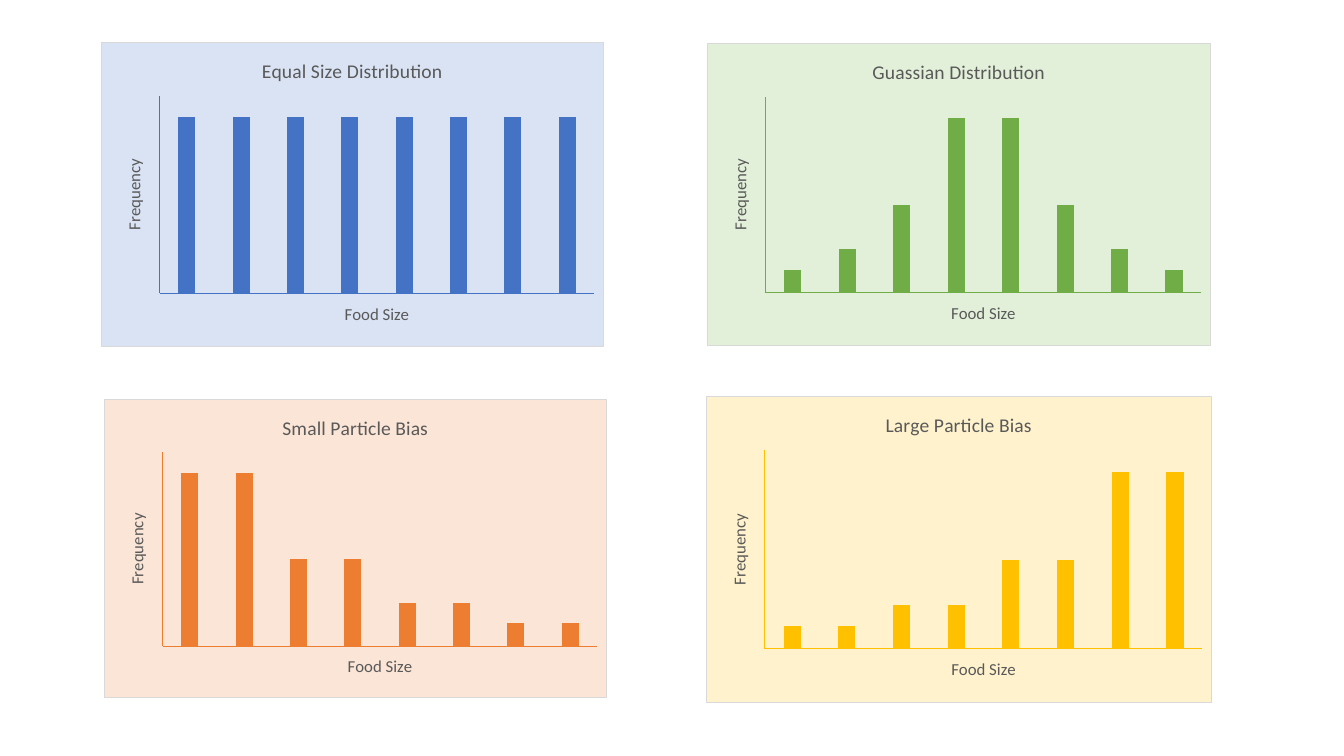
from lxml import etree
from pptx import Presentation
from pptx import util as u
from pptx.chart import data as chart_data
from pptx.dml import color
from pptx.enum import chart as kinds
from pptx.oxml import parse_xml

NS = "http://schemas.openxmlformats.org/drawingml/2006"
PLOT_AREA = {"x": 0.116, "y": 0.176, "w": 0.866, "h": 0.65}


def rgb(value):
    return color.RGBColor.from_string(value)


def write_title(owner, text, size):
    frame = owner.text_frame
    frame.text = text
    font = frame.paragraphs[0].runs[0].font
    font.name, font.size, font.bold = "Calibri", u.Pt(size), False
    font.color.rgb = rgb("595959")


deck = Presentation()
deck.slide_width, deck.slide_height = u.Inches(13.33), u.Inches(7.5)
page = deck.slides.add_slide(deck.slide_layouts[6])

panels = [
    ("Guassian Distribution", (7.01, 0.43, 5, 3), "70AD47", "E2F0D9",
     (13, 25, 50, 100, 100, 50, 25, 13)),
    ("Large Particle Bias", (7, 3.93, 5.02, 3.04), "FFC000", "FFF2CC",
     (13, 13, 25, 25, 50, 50, 100, 100)),
    ("Small Particle Bias", (1.03, 3.96, 4.99, 2.97), "ED7D31", "FBE5D6",
     (100, 100, 50, 50, 25, 25, 13, 13)),
    ("Equal Size Distribution", (1, 0.42, 4.99, 3.02), "4472C4", "DAE3F3",
     (100,) * 8),
]

for heading, place, accent, tint, frequencies in panels:
    table = chart_data.CategoryChartData()
    table.categories = [str(number) for number in range(1, 9)]
    table.add_series("Series 1", frequencies)
    chart = page.shapes.add_chart(
        kinds.XL_CHART_TYPE.COLUMN_CLUSTERED,
        *[u.Inches(length) for length in place], table).chart
    chart.has_legend = False
    chart.font.name, chart.font.size = "Calibri", u.Pt(10)
    chart.has_title = True
    write_title(chart.chart_title, heading, 14)

    bars = chart.plots[0]
    bars.gap_width, bars.overlap, bars.vary_by_categories = 219, -27, False
    fill = bars.series[0].format.fill
    fill.solid()
    fill.fore_color.rgb = rgb(accent)

    for axis, label in ((chart.category_axis, "Food Size"), (chart.value_axis, "Frequency")):
        axis.has_title = True
        write_title(axis.axis_title, label, 12)
        axis.has_major_gridlines = False
        axis.major_tick_mark = axis.minor_tick_mark = kinds.XL_TICK_MARK.NONE
        axis.tick_label_position = kinds.XL_TICK_LABEL_POSITION.NONE
        axis.format.line.color.rgb = rgb(accent)
        axis.format.line.width = u.Pt(0.75)
    chart.value_axis.minimum_scale, chart.value_axis.maximum_scale = 0, 112

    space = chart.element if hasattr(chart, "element") else chart._chartSpace
    turned = space.xpath(".//c:valAx/c:title//a:bodyPr")[0]
    turned.set("rot", "-5400000")
    turned.set("vert", "horz")

    plot_area = space.xpath(".//c:plotArea")[0]
    for old in plot_area.xpath("./c:layout"):
        plot_area.remove(old)
    layout = etree.Element(f"{{{NS}/chart}}layout")
    manual = etree.SubElement(layout, f"{{{NS}/chart}}manualLayout")
    settings = {"layoutTarget": "inner", "xMode": "edge", "yMode": "edge", **PLOT_AREA}
    for name, value in settings.items():
        etree.SubElement(manual, f"{{{NS}/chart}}{name}", val=str(value))
    plot_area.insert(0, layout)

    space.xpath("./c:chart")[0].addnext(parse_xml(
        f'<c:spPr xmlns:c="{NS}/chart" xmlns:a="{NS}/main">'
        f'<a:solidFill><a:srgbClr val="{tint}"/></a:solidFill>'
        '<a:ln w="9525"><a:solidFill><a:srgbClr val="D9D9D9"/></a:solidFill></a:ln>'
        '</c:spPr>'))

deck.save("out.pptx")
